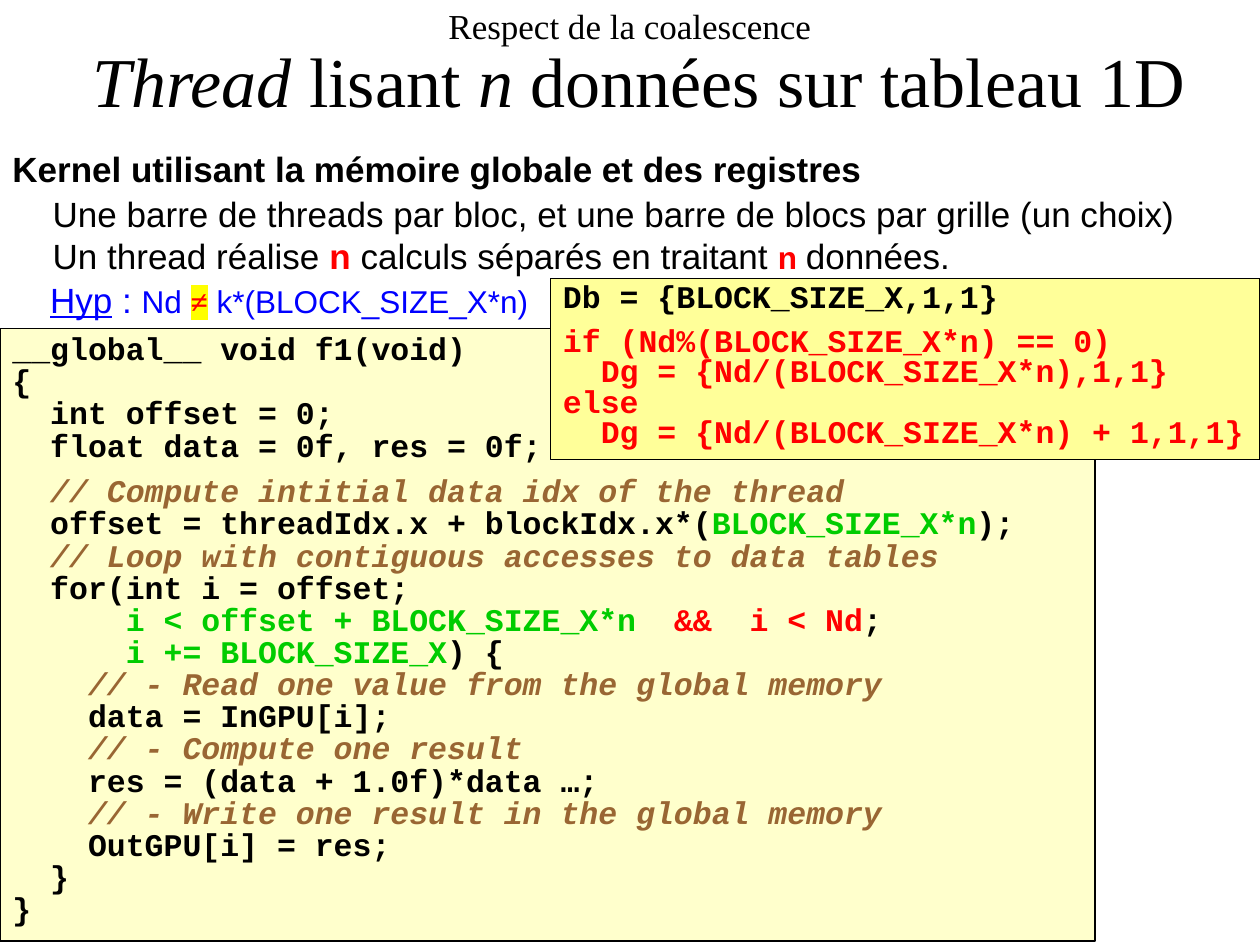
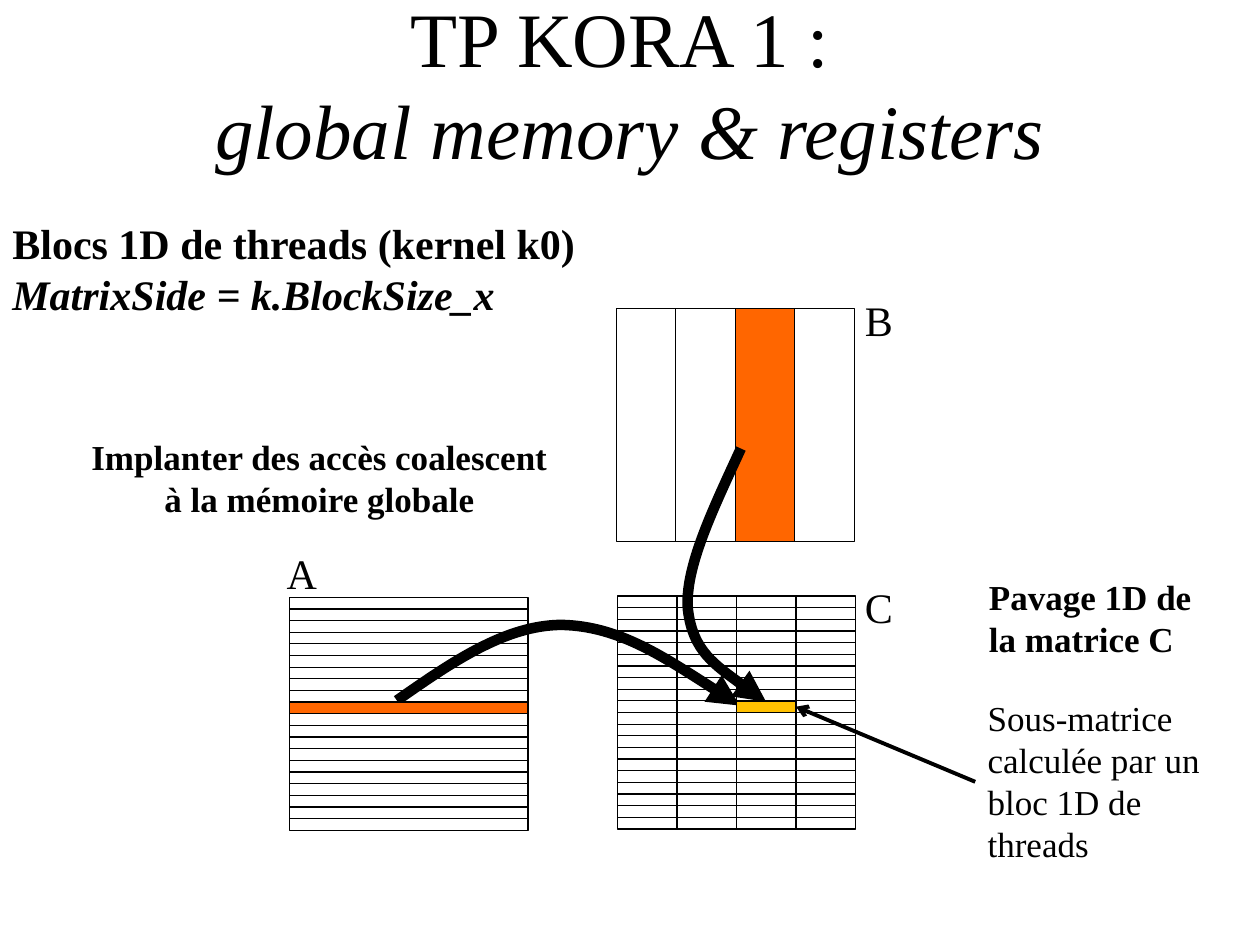
from copy import deepcopy

from lxml.etree import SubElement
from pptx import Presentation
from pptx.dml.color import RGBColor
from pptx.enum.shapes import MSO_CONNECTOR, MSO_SHAPE
from pptx.enum.text import MSO_ANCHOR, MSO_AUTO_SIZE, PP_ALIGN
from pptx.oxml.ns import qn
from pptx.util import Inches, Pt

SERIF, SANS, MONO = "Times New Roman", "Arial", "Courier New"
BLACK, WHITE, RED, BLUE, GREEN = "000000", "FFFFFF", "FF0000", "0000FF", "00CC00"
ORANGE, GOLD, BROWN, YELLOW = "FF6600", "FFC000", "996633", "FFFF00"
CODE_FILL, LAUNCH_FILL = "FFFFCC", "FFFF99"
CODE_STEP = 0.15
MATRIX_SIZE = (1.89, 1.85)
TILE_ROWS, TILE_COLS = 20, 4
ACTIVE_ROW, ACTIVE_COL = 9, 2

ITALIC = {"italic": True}
BOLD_RED = {"bold": True, "color": RED}
IN_RED = {"color": RED}
IN_GREEN = {"color": GREEN}
COMMENT = {"color": BROWN, "italic": True}


def rgb(value):
    return RGBColor.from_string(value)


def line(*runs, columns=0, before=0):
    return runs, columns, before


def format_run(run, font=SERIF, size=20, color=BLACK, bold=False, italic=False,
               underline=False, highlight=None):
    run.font.name = font
    run.font.size = Pt(size)
    run.font.bold = bold
    run.font.italic = italic
    run.font.underline = underline
    run.font.color.rgb = rgb(color)
    if highlight:
        properties = run.font._element
        mark = SubElement(properties, qn("a:highlight"))
        SubElement(mark, qn("a:srgbClr")).set("val", highlight)
        properties.find(qn("a:solidFill")).addnext(mark)


def write(frame, lines, wrap=False, align=PP_ALIGN.LEFT, spacing=None,
          anchor=MSO_ANCHOR.TOP, **base):
    frame.auto_size = MSO_AUTO_SIZE.NONE
    frame.word_wrap = wrap
    frame.vertical_anchor = anchor
    for number, (runs, columns, before) in enumerate(lines):
        paragraph = frame.add_paragraph() if number else frame.paragraphs[0]
        paragraph.alignment = align
        if spacing:
            paragraph.line_spacing = spacing
        if before:
            paragraph.space_before = Pt(before)
        if columns:
            margin = paragraph._p.get_or_add_pPr()
            margin.set("marL", str(Inches(columns * CODE_STEP)))
            margin.set("indent", "0")
        for part in runs:
            text, changes = (part, {}) if isinstance(part, str) else part
            if text == "\n":
                previous = paragraph.runs[-1].font._element
                paragraph.add_line_break()
                line_break = paragraph._p.findall(qn("a:br"))[-1]
                line_break.append(deepcopy(previous))
            else:
                run = paragraph.add_run()
                run.text = text
                format_run(run, **{**base, **changes})


def place(box):
    return [Inches(length) for length in box]


def add_label(slide, box, *lines, **style):
    label = slide.shapes.add_textbox(*place(box))
    write(label.text_frame, lines, **style)
    return label


def add_rect(shapes, box, fill=None):
    rect = shapes.add_shape(MSO_SHAPE.RECTANGLE, *place(box))
    rect.shadow.inherit = False
    if fill:
        rect.fill.solid()
        rect.fill.fore_color.rgb = rgb(fill)
    else:
        rect.fill.background()
    rect.line.color.rgb = rgb(BLACK)
    rect.line.width = Pt(0.75)
    return rect


def add_code(slide, box, fill, *lines, **style):
    panel = add_rect(slide.shapes, box, fill)
    write(panel.text_frame, lines, font=MONO, size=18, bold=True, **style)


def add_line(shapes, x1, y1, x2, y2, width=0.75):
    rule = shapes.add_connector(MSO_CONNECTOR.STRAIGHT, *place((x1, y1, x2, y2)))
    rule.line.color.rgb = rgb(BLACK)
    rule.line.width = Pt(width)
    SubElement(rule._element.spPr, qn("a:effectLst"))
    return rule


def add_arrowhead(arrow, kind):
    SubElement(arrow.line._get_or_add_ln(), qn("a:tailEnd")).set("type", kind)


def add_curved_arrow(slide, start, *controls):
    builder = slide.shapes.build_freeform(*place(start), scale=1.0)
    builder.add_line_segments([place(point) for point in controls], close=False)
    arrow = builder.convert_to_shape()
    arrow.shadow.inherit = False
    arrow.fill.background()
    arrow.line.color.rgb = rgb(BLACK)
    arrow.line.width = Pt(6)
    outline = next(arrow._element.iter(qn("a:path")))
    segments = outline.findall(qn("a:lnTo"))
    for first in range(0, len(segments), 3):
        curve = SubElement(outline, qn("a:cubicBezTo"))
        for segment in segments[first:first + 3]:
            curve.append(segment[0])
            outline.remove(segment)
    add_arrowhead(arrow, "triangle")


def cell_box(origin, rows, cols, row, col):
    width, height = MATRIX_SIZE[0] / cols, MATRIX_SIZE[1] / rows
    return origin[0] + col * width, origin[1] + row * height, width, height


def add_matrix(slide, origin, rows=1, cols=1, fill=None, active=None):
    shapes = slide.shapes.add_group_shape().shapes
    left, top = origin
    width, height = MATRIX_SIZE
    if active:
        add_rect(shapes, cell_box(origin, rows, cols, *active), ORANGE)
    add_rect(shapes, (left, top, width, height), fill)
    for col in range(1, cols):
        x = left + col * width / cols
        add_line(shapes, x, top, x, top + height)
    for row in range(1, rows):
        y = top + row * height / rows
        add_line(shapes, left, y, left + width, y)


def add_titled_slide(deck, box, *runs, **style):
    slide = deck.slides.add_slide(deck.slide_layouts[5])
    title = slide.shapes.title
    title.left, title.top, title.width, title.height = place(box)
    write(title.text_frame, [line(*runs)], wrap=True, align=PP_ALIGN.CENTER,
          anchor=MSO_ANCHOR.MIDDLE, **style)
    return slide


def build_kernel_slide(deck):
    slide = add_titled_slide(
        deck, (0, 0, 10, 1.04),
        ("Respect de la coalescence", {"size": 20}), ("\n", {}),
        " ", ("Thread", ITALIC), " lisant", (" n ", ITALIC),
        "données sur tableau 1D", size=40, spacing=0.9)
    add_code(
        slide, (0, 2.61, 8.69, 4.86), CODE_FILL,
        line("__global__ void f1(void)"),
        line("{"),
        line("int offset = 0;", columns=2),
        line("float data = 0f, res = 0f;", columns=2),
        line(("// Compute intitial data idx of the thread", COMMENT),
             columns=2, before=7.7),
        line("offset = threadIdx.x + blockIdx.x*(",
             ("BLOCK_SIZE_X*n", IN_GREEN), ");", columns=2),
        line(("// Loop with contiguous accesses to data tables", COMMENT), columns=2),
        line("for(int i = offset;", columns=2),
        line(("i < offset + BLOCK_SIZE_X*n  ", IN_GREEN),
             ("&&  i < Nd", IN_RED), ";", columns=6),
        line(("i += BLOCK_SIZE_X", IN_GREEN), ") {", columns=6),
        line(("// - Read one value from the global memory", COMMENT), columns=4),
        line("data = InGPU[i];", columns=4),
        line(("// - Compute one result", COMMENT), columns=4),
        line("res = (data + 1.0f)*data …;", columns=4),
        line(("// - Write one result in the global memory", COMMENT), columns=4),
        line("OutGPU[i] = res;", columns=4),
        line("}", columns=2),
        line("}"),
        wrap=True, spacing=0.85)
    add_label(slide, (0, 1.12, 6.99, 0.44),
              line("Kernel utilisant la mémoire globale et des registres"),
              font=SANS, bold=True)
    add_code(
        slide, (4.37, 2.21, 5.63, 1.44), LAUNCH_FILL,
        line(("Db = {BLOCK_SIZE_X,1,1}", {"color": BLACK})),
        line("if (Nd%(BLOCK_SIZE_X*n) == 0)", before=7.7),
        line("Dg = {Nd/(BLOCK_SIZE_X*n),1,1}", columns=2),
        line("else"),
        line("Dg = {Nd/(BLOCK_SIZE_X*n) + 1,1,1}", columns=2),
        color=RED, spacing=0.8)
    add_label(
        slide, (0.28, 2.16, 4.03, 0.44),
        line(("Hyp", {"underline": True}), " : ", ("Nd ", {"size": 18}),
             ("≠", {**BOLD_RED, "font": SERIF, "size": 18, "highlight": YELLOW}),
             (" k*(BLOCK_SIZE_X*n)", {"size": 18})),
        font=SANS, color=BLUE, align=PP_ALIGN.CENTER)
    add_label(
        slide, (0.32, 1.48, 9.17, 0.77),
        line("Une barre de threads par bloc, et une barre de blocs par grille (un choix)"),
        line("Un thread réalise", (" n ", BOLD_RED), "calculs séparés en traitant ",
             ("n ", {**BOLD_RED, "size": 18}), "données."),
        font=SANS)


def build_exercise_slide(deck):
    slide = add_titled_slide(
        deck, (0.75, 0.03, 8.5, 1.25),
        "TP KORA 1 : ", ("\n", {}), ("global memory & registers", ITALIC), size=44)
    origin_a, origin_b, origin_c = (2.3, 4.74), (4.89, 2.45), (4.9, 4.73)
    add_matrix(slide, origin_c, TILE_ROWS, TILE_COLS, fill=WHITE)
    add_matrix(slide, origin_b, cols=TILE_COLS, active=(0, ACTIVE_COL))
    add_curved_arrow(slide, (5.88, 3.56), (5.66, 4.04), (5.43, 4.51), (5.46, 4.84),
                     (5.5, 5.17), (5.79, 5.37), (6.08, 5.57))
    add_curved_arrow(slide, (3.15, 5.56), (3.58, 5.26), (4.01, 4.96), (4.46, 4.96),
                     (4.91, 4.97), (5.39, 5.29), (5.87, 5.6))
    add_matrix(slide, origin_a, rows=TILE_ROWS, active=(ACTIVE_ROW, 0))
    tile = add_rect(slide.shapes, cell_box(origin_c, TILE_ROWS, TILE_COLS,
                                           ACTIVE_ROW, ACTIVE_COL), GOLD)

    for name, left, top in (("A", 2.18, 4.3), ("B", 6.76, 2.29), ("C", 6.76, 4.57)):
        add_label(slide, (left, top, 0.43, 0.5), line(name),
                  size=24, align=PP_ALIGN.CENTER)
    add_label(slide, (0, 1.68, 4.71, 0.91),
              line("Blocs 1D de threads (kernel k0)"),
              line(("MatrixSide = k.BlockSize_x", ITALIC)), size=24, bold=True)
    add_label(slide, (0.57, 3.41, 3.93, 0.77),
              line("Implanter des accès coalescent à la mémoire globale"),
              wrap=True, align=PP_ALIGN.CENTER, bold=True)
    add_label(slide, (7.75, 4.52, 1.89, 0.77),
              line("Pavage 1D de"), line("la matrice C"), bold=True)
    tile_note = add_label(slide, (7.74, 5.48, 2.04, 1.45),
                          line("Sous-matrice calculée par un bloc 1D de threads"),
                          wrap=True)
    pointer = add_line(slide.shapes, 7.74, 6.21, 6.32, 5.62, width=2.25)
    pointer.begin_connect(tile_note, 1)
    pointer.end_connect(tile, 3)
    add_arrowhead(pointer, "arrow")


def main():
    deck = Presentation()
    deck.slide_width, deck.slide_height = Inches(10), Inches(7.5)
    build_kernel_slide(deck)
    build_exercise_slide(deck)
    deck.save("out.pptx")


if __name__ == "__main__":
    main()
